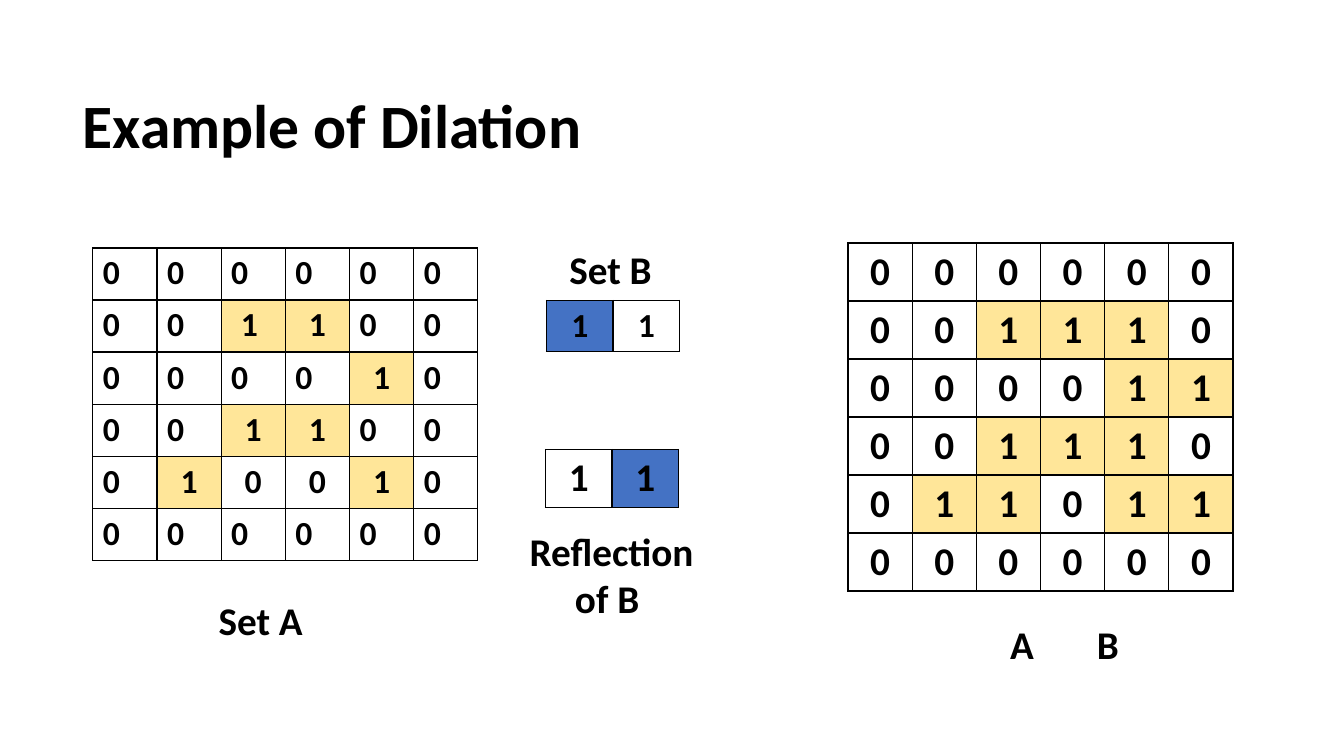
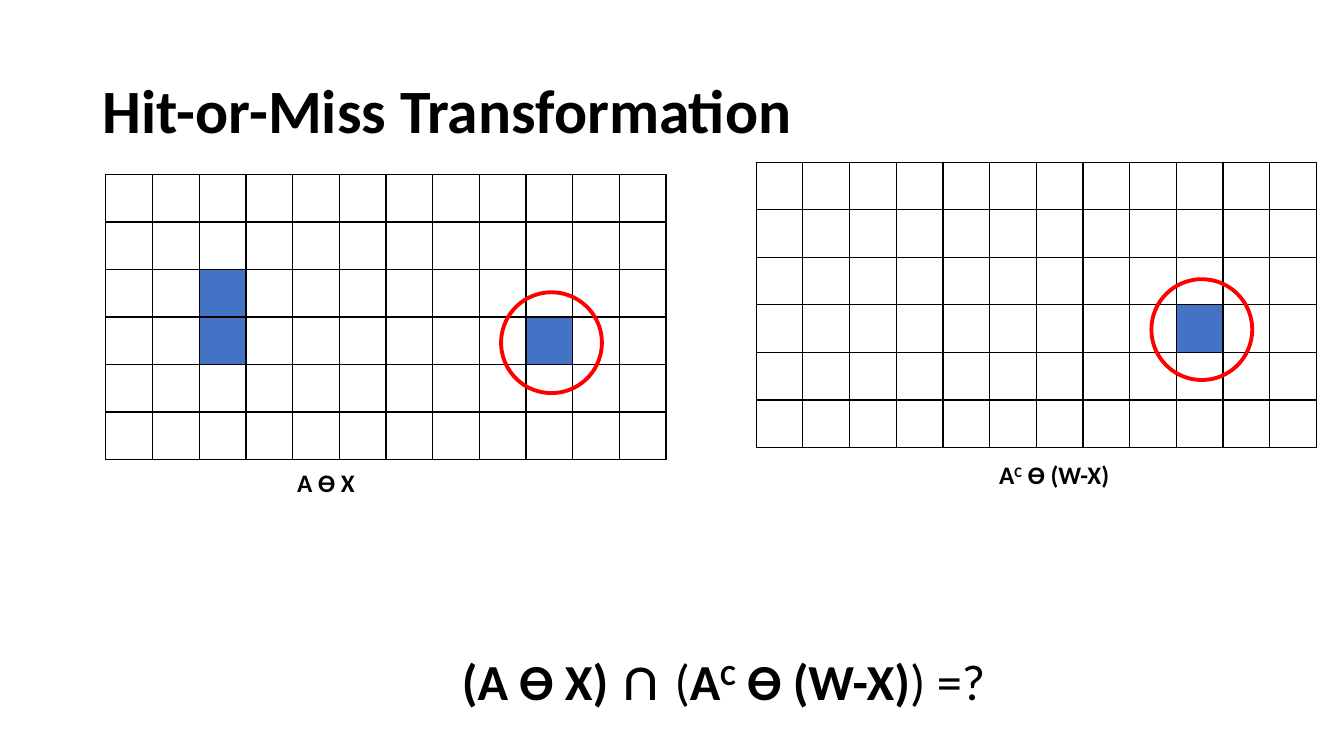
from lxml import etree
from pptx import Presentation
from pptx.dml.color import RGBColor
from pptx.enum.shapes import MSO_SHAPE as Shape
from pptx.enum.text import MSO_ANCHOR as Anchor, MSO_AUTO_SIZE as AutoSize, PP_ALIGN as Align
from pptx.oxml.ns import qn
from pptx.util import Inches, Pt

BLACK, YELLOW, BLUE, RED = "000000", "FFE699", "4472C4", "FF0000"


def color(hex_code):
    return RGBColor.from_string(hex_code)


def add_text(para, text, size=28, bold=True, raised=False):
    """Append one formatted run to a paragraph."""
    span = para.add_run()
    span.text = text
    font = span.font
    font.name, font.size, font.bold = "Calibri", Pt(size), bold
    font.color.rgb = color(BLACK)
    if raised:
        span._r.get_or_add_rPr().set("baseline", "30000")


def add_borders(cell):
    """Draw a thin black line on all four sides of a cell."""
    props = cell._tc.get_or_add_tcPr()
    for side in ("lnL", "lnR", "lnT", "lnB"):
        line = etree.SubElement(props, qn(f"a:{side}"), w=str(Pt(1)))
        fill = etree.SubElement(line, qn("a:solidFill"))
        etree.SubElement(fill, qn("a:srgbClr"), val=BLACK)


class Slides:
    """Holds the deck, its style and the current page."""

    def __init__(self):
        self.deck = Presentation()
        self.deck.slide_width, self.deck.slide_height = Inches(13.33), Inches(7.5)
        self.page = None

    def new_page(self, title, left, top):
        self.page = self.deck.slides.add_slide(self.deck.slide_layouts[5])
        box = self.page.shapes.title
        box.left, box.top = Inches(left), Inches(top)
        box.width, box.height = Inches(11.5), Inches(1.45)
        para = self.middle_frame(box).paragraphs[0]
        para.alignment, para.line_spacing = Align.LEFT, 0.9
        add_text(para, title, size=44)

    def middle_frame(self, box):
        frame = box.text_frame
        frame.word_wrap, frame.auto_size = True, AutoSize.NONE
        frame.vertical_anchor = Anchor.MIDDLE
        return frame

    def label(self, spans, left, top, width, size=28, align=Align.CENTER, tab=None):
        """Add a label; spans is a list of (text, format) pairs."""
        box = self.page.shapes.add_textbox(Inches(left), Inches(top), Inches(width), Inches(1))
        para = self.middle_frame(box).paragraphs[0]
        para.alignment = align
        if tab:
            stops = etree.SubElement(para._p.get_or_add_pPr(), qn("a:tabLst"))
            etree.SubElement(stops, qn("a:tab"), pos=str(Inches(tab)), algn="l")
        for text, style in spans:
            add_text(para, text, **{"size": size, **style})

    def grid(self, rows, left, top, width, height, fills, size=28, centered=None):
        """Add a table; fills maps (row, column) to a colour.

        Without centered every cell is centred, else only filled and listed ones.
        """
        row_count, column_count = len(rows), len(rows[0])
        table = self.page.shapes.add_table(
            row_count, column_count, Inches(left), Inches(top), Inches(width), Inches(height)).table
        table.first_row = table.horz_banding = False
        for column in table.columns:
            column.width = Inches(width / column_count)
        for row in table.rows:
            row.height = Inches(height / row_count)
        for r, values in enumerate(rows):
            for c, value in enumerate(values):
                cell, fill = table.cell(r, c), fills.get((r, c))
                add_borders(cell)
                if fill:
                    cell.fill.solid()
                    cell.fill.fore_color.rgb = color(fill)
                else:
                    cell.fill.background()
                if value:
                    para = cell.text_frame.paragraphs[0]
                    if centered is None or fill or (r, c) in centered:
                        para.alignment = Align.CENTER
                    add_text(para, value, size=size)

    def ring(self, left, top):
        ring = self.page.shapes.add_shape(Shape.OVAL, Inches(left), Inches(top), Inches(1), Inches(1))
        ring.shadow.inherit = False
        ring.fill.background()
        ring.line.color.rgb = color(RED)
        ring.line.width = Pt(2.75)


def mark_ones(rows):
    return {(r, c): YELLOW for r, row in enumerate(rows)
            for c, value in enumerate(row) if value.strip() == "1"}


def dilation(slides):
    slides.new_page("Example of Dilation", 0.72, 0.55)

    # Input set, structuring element with its reflection, and result
    set_a = [list(row) for row in ("000000", "001100", "000010", "001100", "010010", "000000")]
    set_a[1][2] = "1 "
    result = ["000000", "001110", "000011", "001110", "011011", "000000"]
    slides.grid(set_a, 0.92, 2.46, 3.82, 3.1, mark_ones(set_a), size=24,
                centered={(4, 2), (4, 3)})
    slides.grid(["11"], 5.42, 2.98, 1.32, 0.51, {(0, 0): BLUE}, size=24)
    slides.grid(["11"], 5.41, 4.46, 1.32, 0.57, {(0, 1): BLUE})
    slides.grid(result, 8.41, 2.41, 3.82, 3.45, mark_ones(result))

    # Captions
    for text, left, top, width in (("Reflection of B ", 4.99, 5.2, 2.15),
                                   ("Set B", 5.41, 2.17, 1.29),
                                   ("Set A", 1.94, 5.65, 1.29)):
        slides.label([(text, {})], left, top, width)
    slides.label([("A\tB", {})], 9.92, 5.89, 1.66, align=Align.LEFT, tab=0.86)


def hit_or_miss(slides):
    slides.new_page("Hit-or-Miss Transformation", 0.92, 0.4)
    empty = [[""] * 12] * 6
    hit = {(3, 9): BLUE}
    complement = [("A", {}), ("C", {"raised": True}), (" Ɵ (W-X)", {})]
    plain = {"bold": False}

    # Erosion grids
    slides.grid(empty, 1.05, 1.73, 5.56, 2.83, {(2, 2): BLUE, (3, 2): BLUE, **hit})
    slides.grid(empty, 7.5, 1.61, 5.56, 2.83, hit)

    # Captions and formula
    slides.label([(" A Ɵ X", {})], 2.26, 4.29, 1.89, size=18)
    slides.label(complement, 9.71, 4.21, 1.49, size=18)
    slides.label([(" (A Ɵ X) ", {}), ("∩", {"size": 44}), (" (", plain),
                  *complement, (") =?", plain)], 3.98, 6.21, 6.28, size=36)

    # Rings around the matching cell
    slides.ring(4.97, 2.9)
    slides.ring(11.42, 2.77)


def main():
    slides = Slides()
    dilation(slides)
    hit_or_miss(slides)
    slides.deck.save("out.pptx")


if __name__ == "__main__":
    main()
